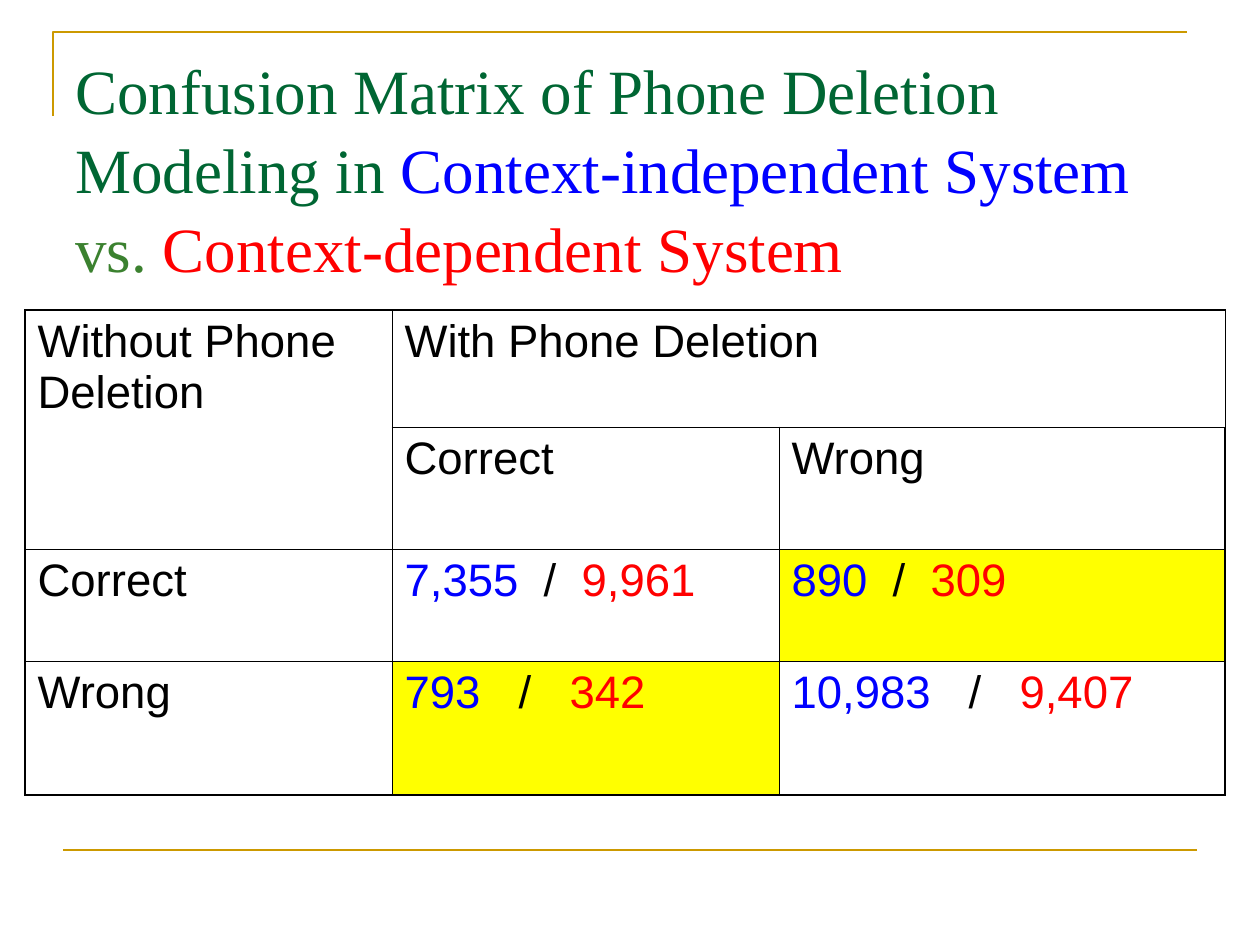
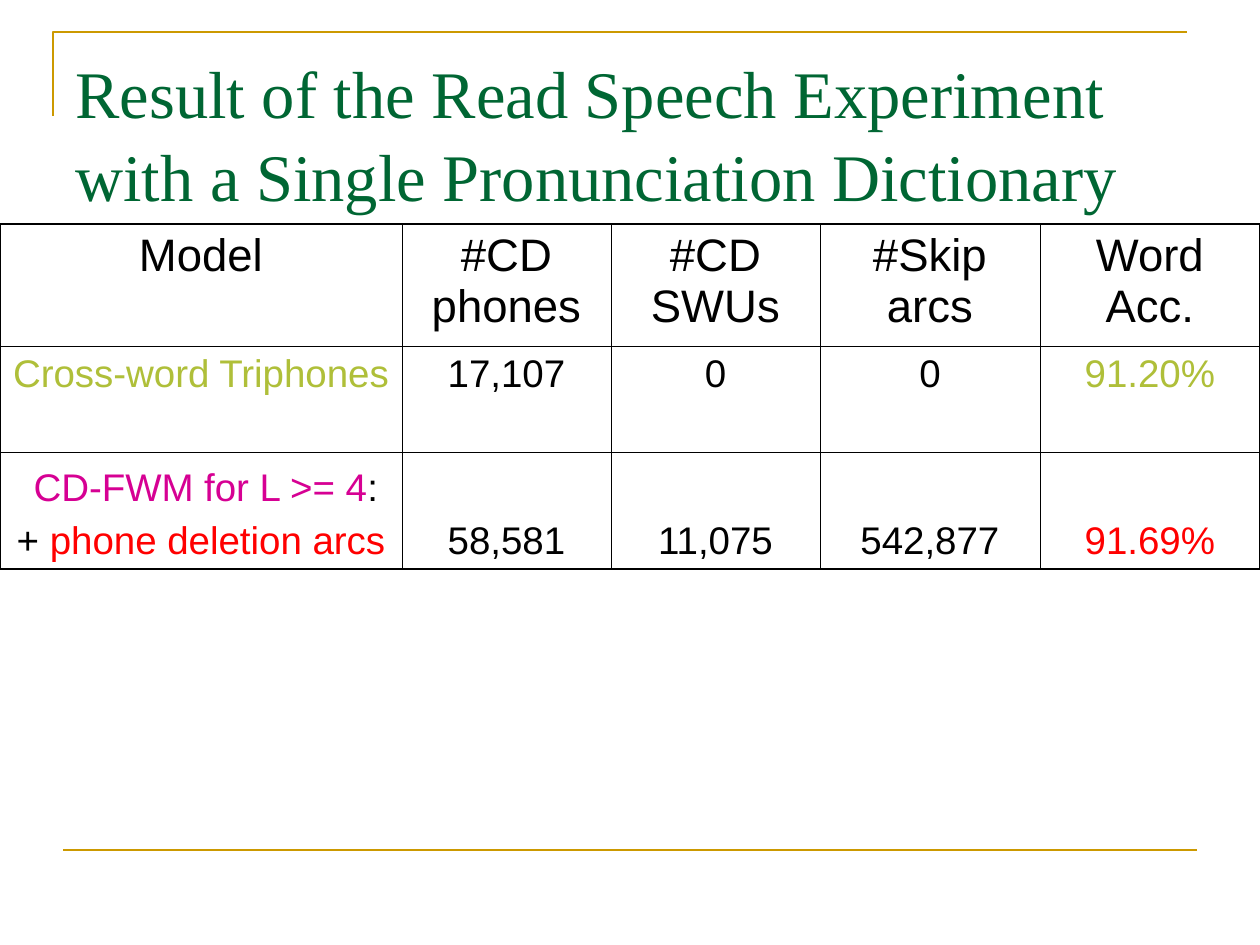
"""Build two slides of tables on phone deletion modeling."""
from pptx import Presentation
from pptx.dml.color import RGBColor as RGB
from pptx.enum.shapes import MSO_CONNECTOR as LINK
from pptx.enum.text import MSO_ANCHOR as ANCHOR, PP_ALIGN as ALIGN
from pptx.oxml.ns import qn
from pptx.util import Emu, Pt
from lxml.etree import SubElement as Sub

SCALE = 914400 / 126
BLACK = RGB(0, 0, 0)
GOLD = RGB(0xCC, 0x99, 0x00)
PINE = RGB(0x00, 0x66, 0x33)
GREEN = RGB(0x3B, 0x81, 0x2F)
BLUE = RGB(0x00, 0x00, 0xFF)
RED = RGB(0xFF, 0x00, 0x00)
LIME = RGB(0xAF, 0xBF, 0x39)
PINK = RGB(0xD6, 0x00, 0x93)
YELLOW = RGB(0xFF, 0xFF, 0x00)
THIN, THICK = Pt(0.45), Pt(1.08)
SERIF, SANS = "Times New Roman", "Arial"


def px(num):
    """Turn px into EMU."""
    return Emu(round(num * SCALE))


def apply(item, form):
    """Set the attributes of an item from a dict."""
    for key, val in form.items():
        setattr(item, key, val)


def para(*runs, tabs=(), indent=0):
    """Describe a paragraph of (text, colour) runs."""
    return {"runs": runs, "tabs": tabs, "indent": indent}


def pair(left, right, *tabs):
    """Describe the two systems' counts, split by a slash."""
    return [para((left, BLUE), ("\t/\t", BLACK), (right, RED), tabs=tabs)]


def plain(*texts, hue=BLACK):
    """Describe one single-paragraph cell per text."""
    return [[para((text, hue))] for text in texts]


def write(frame, paras, font, form):
    """Fill a text frame with paragraphs."""
    for idx, spec in enumerate(paras):
        par = frame.add_paragraph() if idx else frame.paragraphs[0]
        props = par._p.get_or_add_pPr()
        if spec["tabs"]:
            stops = Sub(props, qn("a:tabLst"))
            for stop in spec["tabs"]:
                Sub(stops, qn("a:tab"), pos=str(px(stop)), algn="l")
        apply(par, form)
        if idx:
            par.space_before = Pt(5.5)
        if spec["indent"]:
            props.set("marL", str(px(spec["indent"])))
            par.alignment = ALIGN.LEFT
        for text, hue in spec["runs"]:
            run = par.add_run()
            run.text = text
            apply(run.font, font)
            run.font.color.rgb = hue


def stroke(line):
    """Style a line of the slide frame."""
    line.color.rgb = GOLD
    line.width = Pt(1.5)


def trim(slide):
    """Draw the corner line and the foot line."""
    path = slide.shapes.build_freeform(53, 116, SCALE)
    path.add_line_segments([(53, 32), (1187, 32)], close=False)
    edge = path.convert_to_shape()
    edge.shadow.inherit = False
    edge.fill.background()
    stroke(edge.line)
    foot = slide.shapes.add_connector(LINK.STRAIGHT, px(63), px(850), px(1197), px(850))
    Sub(foot._element.spPr, qn("a:effectLst"))
    stroke(foot.line)


def title(slide, width, size, *runs):
    """Add the slide title."""
    box = slide.shapes.add_textbox(px(63), px(38), px(width), px(158))
    apply(box.text_frame, {"word_wrap": True, "margin_top": px(11)})
    write(box.text_frame, [para(*runs)], {"name": SERIF, "size": Pt(size)},
          {"line_spacing": 1.04})


def border(cell, sides):
    """Draw the four borders of a cell."""
    props = cell._tc.get_or_add_tcPr()
    for side, width in sides.items():
        line = Sub(props, qn("a:ln" + side), w=str(width))
        Sub(Sub(line, qn("a:solidFill")), qn("a:srgbClr"), val=str(BLACK))


def grid(slide, left, top, cols, rows, cells, sizes, align):
    """Add a table with a thick outer edge and thin inner lines."""
    table = slide.shapes.add_table(len(rows), len(cols), px(left), px(top),
                                   px(sum(cols)), px(sum(rows))).table
    apply(table, {"first_row": False, "horz_banding": False})
    for col, width in zip(table.columns, cols):
        col.width = px(width)
    for row, height in zip(table.rows, rows):
        row.height = px(height)
    for r, line in enumerate(cells):
        for c, paras in enumerate(line):
            cell = table.cell(r, c)
            edges = {"L": c == 0, "R": c == len(cols) - 1,
                     "T": r == 0, "B": r == len(rows) - 1}
            border(cell, {side: THICK if out else THIN for side, out in edges.items()})
            cell.fill.background()
            apply(cell, {"margin_left": px(12.6), "margin_right": px(12.6),
                         "margin_top": px(6.3), "margin_bottom": px(6.3)})
            write(cell.text_frame, paras, {"name": SANS, "size": Pt(sizes[r])},
                  {"alignment": align})
    return table


def matrix(slide):
    """Build the confusion matrix slide."""
    trim(slide)
    title(slide, 1153, 36,
          ("Confusion Matrix of Phone Deletion Modeling in ", PINE),
          ("Context-independent System ", BLUE), ("vs. ", GREEN),
          ("Context-dependent System", RED))
    cells = [
        plain("Without Phone Deletion", "With Phone Deletion") + [[]],
        [[]] + plain("Correct", "Wrong"),
        plain("Correct") + [pair("7,355", "9,961", 139, 177), pair("890", "309", 101, 139)],
        plain("Wrong") + [pair("793", "342", 114, 165), pair("10,983", "9,407", 177, 228)],
    ]
    table = grid(slide, 25, 310, (367, 387, 446), (117, 122, 112, 134),
                 cells, [26] * 4, ALIGN.LEFT)
    table.cell(0, 0).merge(table.cell(1, 0))
    table.cell(0, 1).merge(table.cell(0, 2))
    for spot in ((2, 2), (3, 1)):
        fill = table.cell(*spot).fill
        fill.solid()
        fill.fore_color.rgb = YELLOW


def result(slide):
    """Build the read speech result slide."""
    trim(slide)
    title(slide, 1134, 38, ("Result of the Read Speech Experiment with a Single "
                            "Pronunciation Dictionary", PINE))
    model = [para(("CD-FWM for L >= 4", PINK), (":", BLACK), indent=21),
             para(("+ ", BLACK), ("phone deletion arcs", RED))]
    cells = [
        plain("Model", "#CD phones", "#CD SWUs", "#Skip arcs", "Word Acc."),
        plain("Cross-word Triphones", hue=LIME) + plain("17,107", "0", "0")
        + plain("91.20%", hue=LIME),
        [model] + plain("58,581", "11,075", "542,877") + plain("91.69%", hue=RED),
    ]
    table = grid(slide, 0, 224, (402, 209, 209, 220, 220), (122, 106, 117),
                 cells, (26, 22, 22), ALIGN.CENTER)
    for cell in table.rows[2].cells:
        cell.vertical_anchor = ANCHOR.BOTTOM


def main():
    """Build and save the deck."""
    deck = Presentation()
    apply(deck, {"slide_width": px(1260), "slide_height": px(945)})
    for build in (matrix, result):
        build(deck.slides.add_slide(deck.slide_layouts[6]))
    deck.save("out.pptx")


if __name__ == "__main__":
    main()
